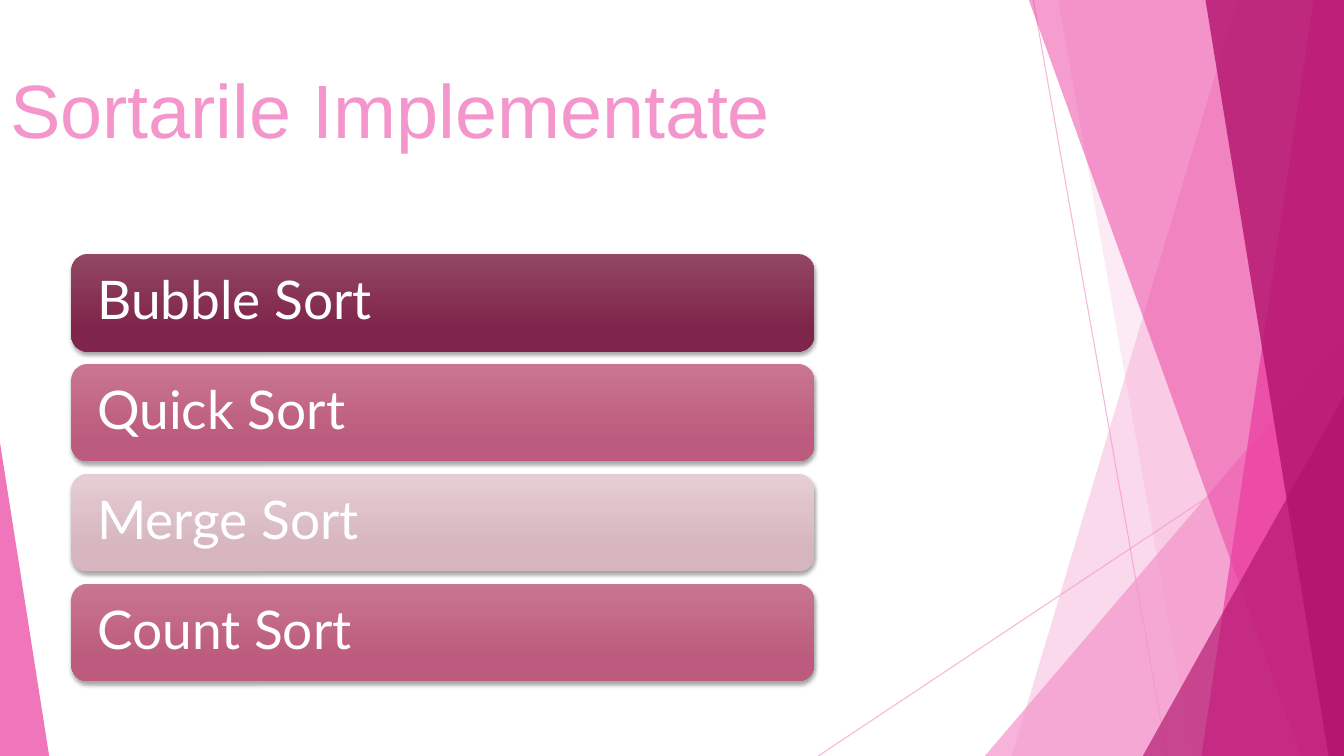
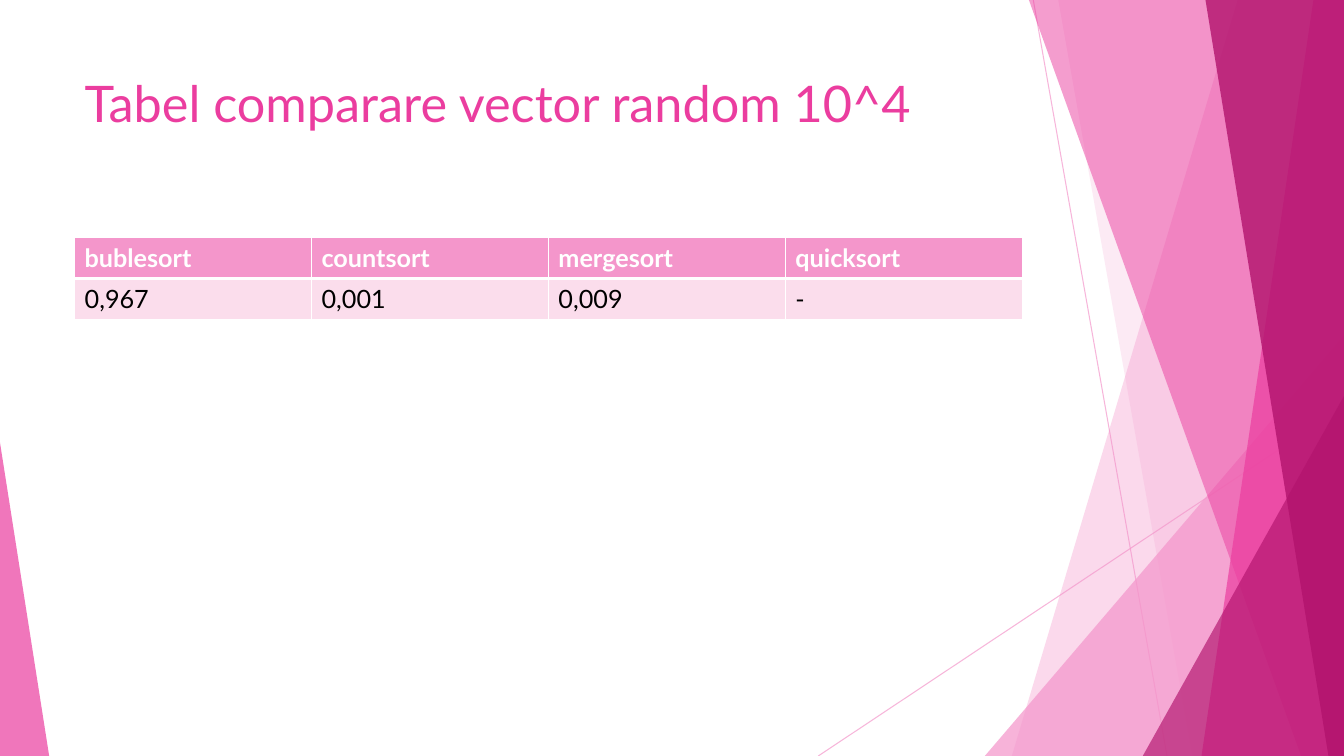
from lxml.etree import SubElement
from pptx import Presentation
from pptx.dml.color import RGBColor
from pptx.enum.shapes import MSO_CONNECTOR, MSO_SHAPE
from pptx.enum.text import MSO_ANCHOR, MSO_AUTO_SIZE, PP_ALIGN
from pptx.oxml.ns import qn
from pptx.util import Cm, Pt

PINK, MAGENTA, BERRY = "F496CB", "EB3D9F", "B2136D"
BLUSH, WHITE, BLACK = "FBDDEC", "FFFFFF", "000000"
WIDTH, HEIGHT = 33.87, 19.05
color = RGBColor.from_string


def glaze(shape, fill, tone, opacity):
    """Give a shape a see-through colour and no shadow."""
    fill.solid()
    fill.fore_color.rgb = color(tone)
    for shade in shape.element.spPr.iter(qn("a:srgbClr")):
        SubElement(shade, qn("a:alpha"), val=str(opacity * 1000))
    SubElement(shape.element.spPr, qn("a:effectLst"))


def style_text(frame, look):
    """Set one paragraph's alignment and font from a dict of values."""
    paragraph = frame.paragraphs[0]
    paragraph.alignment = PP_ALIGN.LEFT
    paragraph.font.color.rgb = color(look["color"])
    for key in ("name", "size", "bold"):
        setattr(paragraph.font, key, look[key])


deck = Presentation()
deck.slide_width, deck.slide_height = Cm(WIDTH), Cm(HEIGHT)
layout = deck.slide_layouts[5]
sorts_slide = deck.slides.add_slide(layout)
timing_slide = deck.slides.add_slide(layout)

# Shared backdrop: thin rays, then facets from back to front
backdrop = []
for x1, y1, x2, y2 in ((26.04, 0, 29.41, HEIGHT), (WIDTH, 10.24, 20.62, HEIGHT)):
    ray = sorts_slide.shapes.add_connector(
        MSO_CONNECTOR.STRAIGHT, Cm(x1), Cm(y1), Cm(x2), Cm(y2))
    ray.line.width = Pt(0.75)
    glaze(ray, ray.line.fill, PINK, 70)
    backdrop.append(ray)

# A band has its left edge at the top and the bottom; a corner has
# left, top, width and the position of its tip
facets = [
    ("band", (31.19, 25.5), PINK, 36),
    ("band", (26.67, 30.05), PINK, 20),
    ("corner", (24.82, 8.46, 9.05, 1), PINK, 72),
    ("band", (25.93, 32.79), MAGENTA, 50),
    ("band", (33.1, 30.28), MAGENTA, 70),
    ("band", (30.38, 33.48), BERRY, 80),
    ("corner", (28.8, 9.98, 5.07, 1), BERRY, 66),
    ("corner", (0, 11.15, 1.24, 0), MAGENTA, 70),
]
for kind, place, tone, opacity in facets:
    if kind == "band":
        top_x, bottom_x = place
        outline = sorts_slide.shapes.build_freeform(Cm(top_x), 0)
        outline.add_line_segments([(Cm(WIDTH), 0), (Cm(WIDTH), Cm(HEIGHT)),
                                   (Cm(bottom_x), Cm(HEIGHT))], close=True)
        facet = outline.convert_to_shape()
    else:
        left, top, width, tip = place
        facet = sorts_slide.shapes.add_shape(
            MSO_SHAPE.ISOSCELES_TRIANGLE,
            Cm(left), Cm(top), Cm(width), Cm(HEIGHT - top))
        facet.adjustments[0] = tip
    facet.line.fill.background()
    glaze(facet, facet.fill, tone, opacity)
    backdrop.append(facet)

# The backdrop belongs to the layout, so both slides show it
for piece in backdrop:
    layout.shapes.element.append(piece.element)

# Titles
headings = [
    (sorts_slide, "Sortarile Implementate", (0, 1.32, 25.7, 2.82), MSO_ANCHOR.MIDDLE,
     {"name": "Arial", "size": Pt(54), "bold": False, "color": PINK}),
    (timing_slide, "Tabel comparare vector random 10^4", (1.88, 1.7, 23.88, 3.66),
     MSO_ANCHOR.TOP,
     {"name": "Lato", "size": Pt(36), "bold": False, "color": MAGENTA}),
]
for slide, wording, box, anchor, look in headings:
    heading = slide.shapes.title
    for side, length in zip(("left", "top", "width", "height"), box):
        setattr(heading, side, Cm(length))
    heading.text_frame.text = wording
    heading.text_frame.auto_size = MSO_AUTO_SIZE.NONE
    heading.text_frame.vertical_anchor = anchor
    style_text(heading.text_frame, look)

# Slide 1: one bar for each sort
ROSE = ("C97692", "BC5B7D")
sorts = [
    ("Bubble Sort", ("924762", "7F244B")),
    ("Quick Sort", ROSE),
    ("Merge Sort", ("E6CDD4", "D6B5BE")),
    ("Count Sort", ROSE),
]
sort_look = {"name": "Lato", "size": Pt(38), "bold": False, "color": WHITE}
for index, (sort_name, shades) in enumerate(sorts):
    bar = sorts_slide.shapes.add_shape(
        MSO_SHAPE.ROUNDED_RECTANGLE,
        Cm(1.8), Cm(6.4 + 2.77 * index), Cm(18.72), Cm(2.46))
    bar.line.fill.background()
    bar.fill.gradient()
    bar.fill.gradient_angle = 270
    for stop, shade, position in zip(bar.fill.gradient_stops, shades, (0, 0.78)):
        stop.color.rgb = color(shade)
        stop.position = position
    # Soft shadow below the bar
    effects = SubElement(bar.element.spPr, qn("a:effectLst"))
    shadow = SubElement(effects, qn("a:outerShdw"), blurRad=str(Pt(3)),
                        dist=str(Pt(2)), dir="5400000", rotWithShape="0")
    shadow_color = SubElement(shadow, qn("a:srgbClr"), val=BLACK)
    SubElement(shadow_color, qn("a:alpha"), val="35000")
    label = bar.text_frame
    label.text = sort_name
    label.margin_left = label.margin_right = Cm(0.53)
    label.vertical_anchor = MSO_ANCHOR.MIDDLE
    label.paragraphs[0].line_spacing = 0.9
    style_text(label, sort_look)

# Slide 2: running times
timings = [
    ("bublesort", "countsort", "mergesort", "quicksort"),
    ("0,967", "0,001", "0,009", "-"),
]
row_looks = [
    {"name": "Lato", "size": Pt(18), "bold": True, "color": WHITE,
     "fill": PINK, "edges": {"lnL": 1, "lnR": 1, "lnT": 1, "lnB": 3}},
    {"name": "Lato", "size": Pt(18), "bold": False, "color": BLACK,
     "fill": BLUSH, "edges": {"lnL": 1, "lnR": 1, "lnT": 3, "lnB": 1}},
]
timing_table = timing_slide.shapes.add_table(
    len(timings), len(timings[0]), Cm(1.88), Cm(5.99), Cm(23.88), Cm(2.06)).table
for row, values, look in zip(timing_table.rows, timings, row_looks):
    for cell, value in zip(row.cells, values):
        cell.text = value
        style_text(cell.text_frame, look)
        cell_format = cell._tc.get_or_add_tcPr()
        for edge, points in look["edges"].items():
            border = SubElement(cell_format, qn("a:" + edge), w=str(Pt(points)))
            border_fill = SubElement(border, qn("a:solidFill"))
            SubElement(border_fill, qn("a:srgbClr"), val=WHITE)
        cell.fill.solid()
        cell.fill.fore_color.rgb = color(look["fill"])

deck.save("out.pptx")
